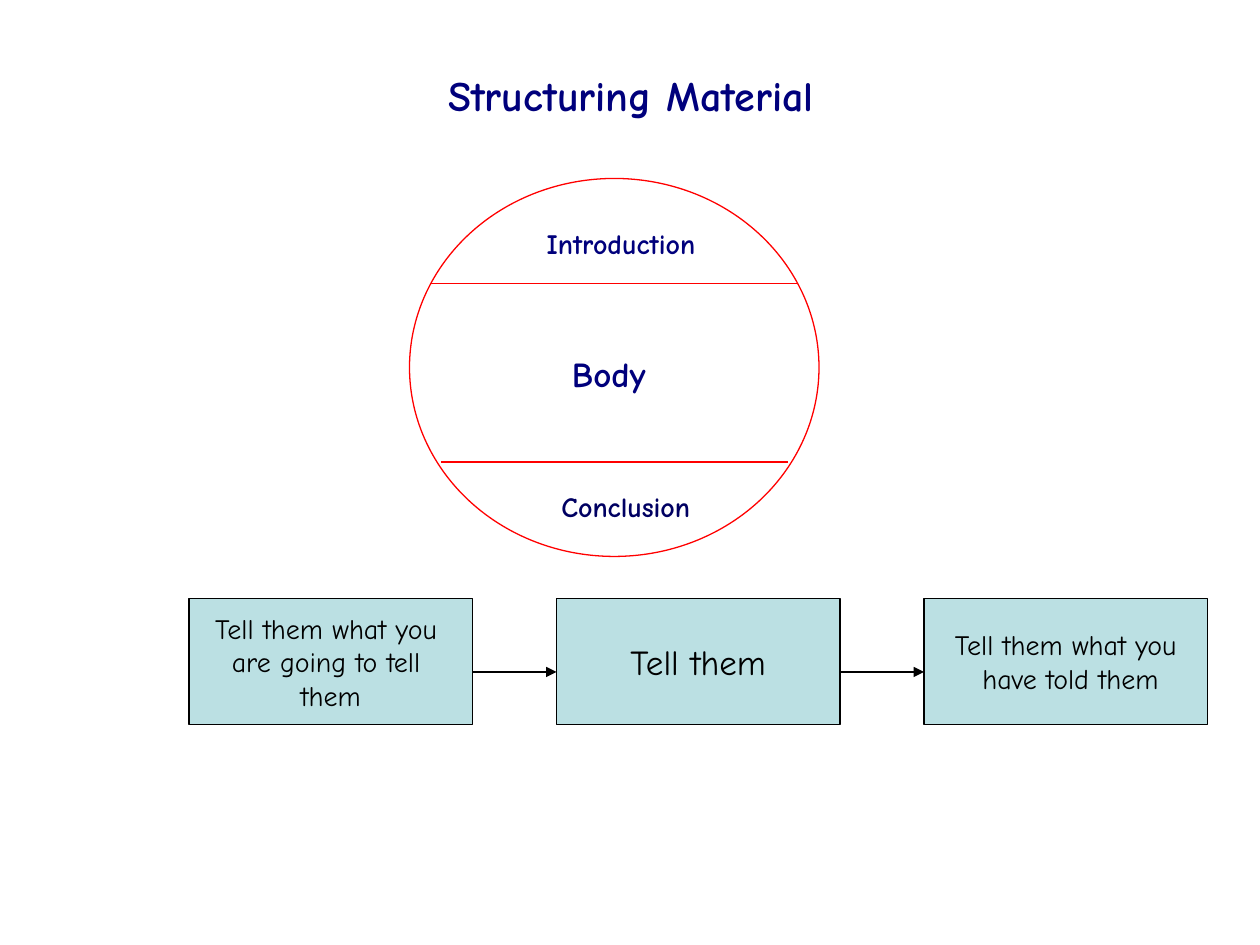
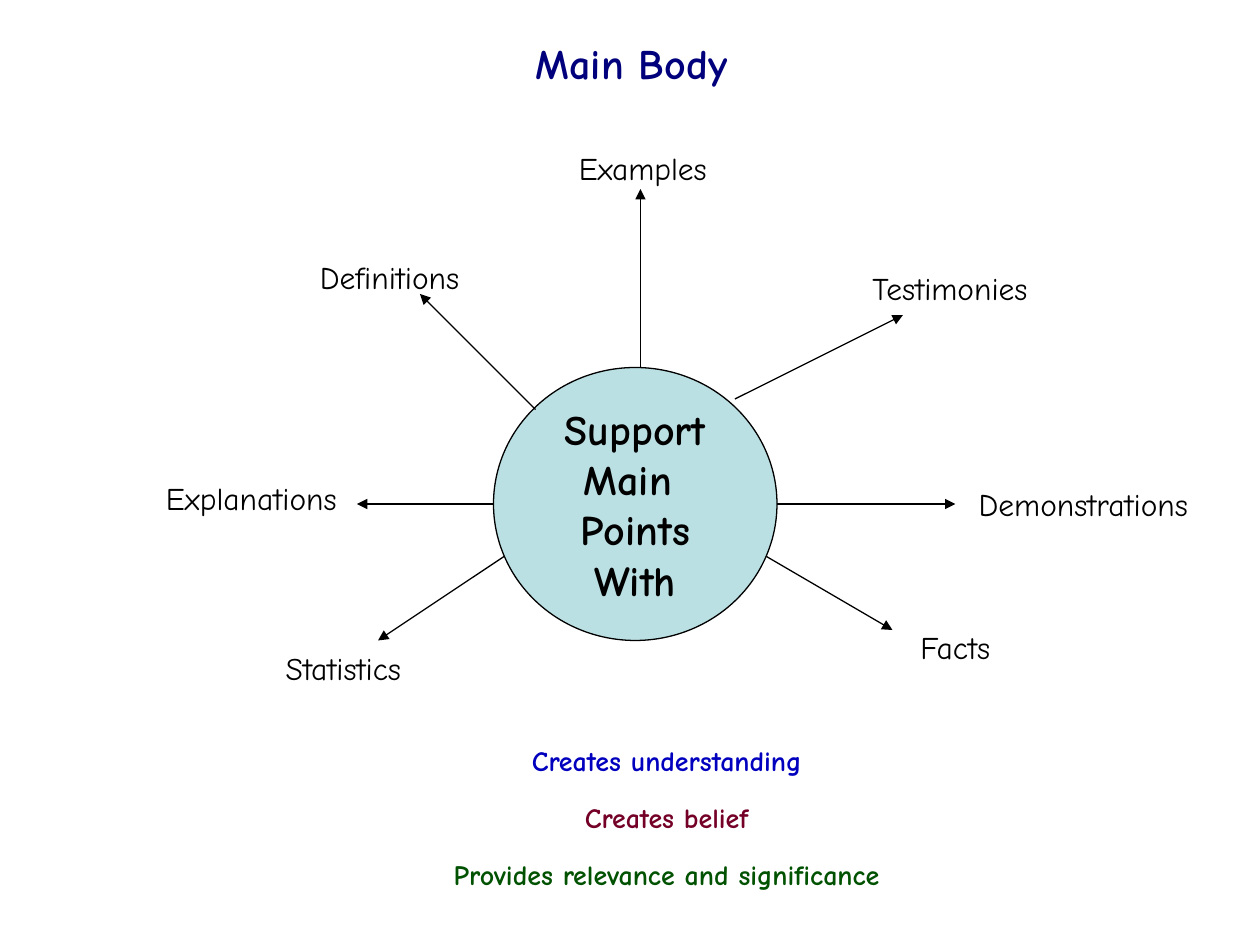
from dataclasses import dataclass
from typing import NamedTuple

from lxml.etree import SubElement
from pptx import Presentation
from pptx.dml.color import RGBColor
from pptx.enum.shapes import MSO_CONNECTOR, MSO_SHAPE
from pptx.enum.text import MSO_ANCHOR, MSO_AUTO_SIZE, PP_ALIGN
from pptx.oxml.ns import qn
from pptx.util import Pt


class Box(NamedTuple):
    """A region of the slide in points."""
    left: float
    top: float
    width: float
    height: float


@dataclass(frozen=True)
class Theme:
    """Colours, type sizes and line width shared by the slides."""
    font: str = "Comic Neue"
    navy: str = "00007C"
    dark_navy: str = "000062"
    blue: str = "0000BE"
    maroon: str = "740027"
    green: str = "005200"
    red: str = "FF0000"
    black: str = "000000"
    pale_teal: str = "BBE0E3"
    title: int = 24
    lead: int = 20
    label: int = 18
    small: int = 16
    line_width: float = 0.75


THEME = Theme()
INSETS = {"margin_left": Pt(7.2), "margin_right": Pt(7.2),
          "margin_top": Pt(3.6), "margin_bottom": Pt(3.6)}
LABEL_FRAME = {**INSETS, "word_wrap": False, "auto_size": MSO_AUTO_SIZE.SHAPE_TO_FIT_TEXT}
WRAPPED_FRAME = {**LABEL_FRAME, "word_wrap": True}
NODE_FRAME = {**INSETS, "word_wrap": False, "vertical_anchor": MSO_ANCHOR.MIDDLE}
LEFT = {"alignment": PP_ALIGN.LEFT}
CENTRED = {"alignment": PP_ALIGN.CENTER}
SPACED = {**CENTRED, "line_spacing": 1.7}


def apply(target, values):
    """Set each named attribute of the target."""
    for name, value in values.items():
        setattr(target, name, value)


def points(box):
    """Turn a box into lengths."""
    return [Pt(length) for length in box]


def write(frame, lines, size, frame_format, paragraph_format, bold=False):
    """Fill a text frame with (text, colour) lines."""
    apply(frame, frame_format)
    for index, (text, colour) in enumerate(lines):
        paragraph = frame.paragraphs[0] if index == 0 else frame.add_paragraph()
        apply(paragraph, paragraph_format)
        run = paragraph.add_run()
        run.text = text
        apply(run.font, {"name": THEME.font, "size": Pt(size), "bold": bold})
        run.font.color.rgb = RGBColor.from_string(colour)


def add_label(slide, text, left, top, width, size, colour, bold=False):
    """Add a one-line label whose height follows its type size."""
    box = Box(left, top, width, 1.2 * size + 7.2)
    frame = slide.shapes.add_textbox(*points(box)).text_frame
    write(frame, [(text, colour)], size, LABEL_FRAME, LEFT, bold)


def add_title(slide, text, box):
    """Add the slide title."""
    add_label(slide, text, box.left, box.top, box.width, THEME.title, THEME.navy, True)


def style_line(line, colour):
    """Give an outline its colour and width."""
    line.color.rgb = RGBColor.from_string(colour)
    line.width = Pt(THEME.line_width)


def add_node(slide, preset, box, colour, fill=None):
    """Add an outlined preset shape, filled if a colour is given."""
    node = slide.shapes.add_shape(preset, *points(box))
    node.shadow.inherit = False
    if fill:
        node.fill.solid()
        node.fill.fore_color.rgb = RGBColor.from_string(fill)
    else:
        node.fill.background()
    style_line(node.line, colour)
    return node


def add_rule(slide, box, start, end, colour, arrow=False):
    """Draw a line between two offsets from the corner of a box."""
    ends = [Pt(origin + offset) for point in (start, end)
            for origin, offset in zip(box[:2], point)]
    rule = slide.shapes.add_connector(MSO_CONNECTOR.STRAIGHT, *ends)
    style_line(rule.line, colour)
    outline = rule.line._get_or_add_ln()
    SubElement(outline, qn("a:round"))
    if arrow:
        SubElement(outline, qn("a:tailEnd"), type="triangle")
    SubElement(rule._element.spPr, qn("a:effectLst"))


def add_speech_circle(slide, box):
    """Draw the circle split into introduction, body and conclusion."""
    add_node(slide, MSO_SHAPE.OVAL, box, THEME.red)
    parts = [("Introduction", 71.3, 24, 103, THEME.small, THEME.navy),
             ("Body", 85.7, 96, 60, THEME.lead, THEME.navy),
             ("Conclusion", 79.7, 174.1, 92, THEME.small, THEME.dark_navy)]
    for text, x, y, width, size, colour in parts:
        add_label(slide, text, box.left + x, box.top + y, width, size, colour, True)
    for inset, y in ((12, 60), (18, 162)):
        add_rule(slide, box, (inset, y), (box.width - inset, y), THEME.red)


def add_telling_steps(slide, box):
    """Lay out the three telling steps in equal boxes joined by arrows."""
    steps = [(["Tell them what you ", "are going to tell ", "them"], THEME.small),
             (["Tell them"], THEME.lead),
             (["Tell them what you", " have told them"], THEME.small)]
    gap, arrow_y = 48, 42
    width = (box.width - gap * (len(steps) - 1)) / len(steps)
    for index, (lines, size) in enumerate(steps):
        x = index * (width + gap)
        step = add_node(slide, MSO_SHAPE.RECTANGLE,
                        Box(box.left + x, box.top, width, box.height),
                        THEME.black, THEME.pale_teal)
        write(step.text_frame, [(line, THEME.black) for line in lines],
              size, NODE_FRAME, CENTRED)
        if index:
            add_rule(slide, box, (x - gap, arrow_y), (x, arrow_y), THEME.black, True)


def add_support_hub(slide, box):
    """Draw the hub with an arrow and a label for each kind of support."""
    hub = add_node(slide, MSO_SHAPE.OVAL, box, THEME.black, THEME.pale_teal)
    words = ["Support", "Main ", "Points", "With"]
    write(hub.text_frame, [(word, THEME.black) for word in words],
          THEME.title, NODE_FRAME, CENTRED, True)
    supports = [("Examples", (84, 0), (84, -102), (41.7, -128.6), 92),
                ("Testimonies", (138, 18), (234, -30), (209.5, -59.8), 108),
                ("Demonstrations", (162, 78), (264, 78), (270.2, 63.6), 138),
                ("Facts", (156, 108), (228, 150), (236.8, 145.4), 59),
                ("Statistics", (6, 108), (-66, 156), (-125.8, 157.2), 84),
                ("Explanations", (0, 78), (-78, 78), (-194.2, 60), 116),
                ("Definitions", (24, 24), (-42, -42), (-106.3, -66), 98)]
    for text, start, end, (x, y), width in supports:
        add_rule(slide, box, start, end, THEME.black, True)
        add_label(slide, text, box.left + x, box.top + y, width, THEME.label, THEME.black)


def add_benefits(slide, box):
    """List what the support achieves, one colour a line."""
    benefits = [("Creates understanding", THEME.blue),
                ("Creates belief", THEME.maroon),
                ("Provides relevance and significance", THEME.green)]
    frame = slide.shapes.add_textbox(*points(box)).text_frame
    write(frame, benefits, THEME.small, WRAPPED_FRAME, SPACED, True)


def build_structuring_slide(slide):
    """Build the slide on structuring material."""
    add_title(slide, "Structuring Material", Box(249, 36, 228, 36))
    add_speech_circle(slide, Box(234, 102, 234, 216))
    add_telling_steps(slide, Box(108, 342, 582, 72))


def build_main_body_slide(slide):
    """Build the slide on supporting the main body."""
    add_title(slide, "Main Body", Box(299, 18, 128, 36))
    add_support_hub(slide, Box(282, 210, 162, 156))
    add_benefits(slide, Box(186, 408, 390, 105))


def main():
    """Build and save the presentation."""
    deck = Presentation()
    apply(deck, {"slide_width": Pt(720), "slide_height": Pt(540)})
    for build in (build_structuring_slide, build_main_body_slide):
        build(deck.slides.add_slide(deck.slide_layouts[6]))
    deck.save("out.pptx")


if __name__ == "__main__":
    main()
